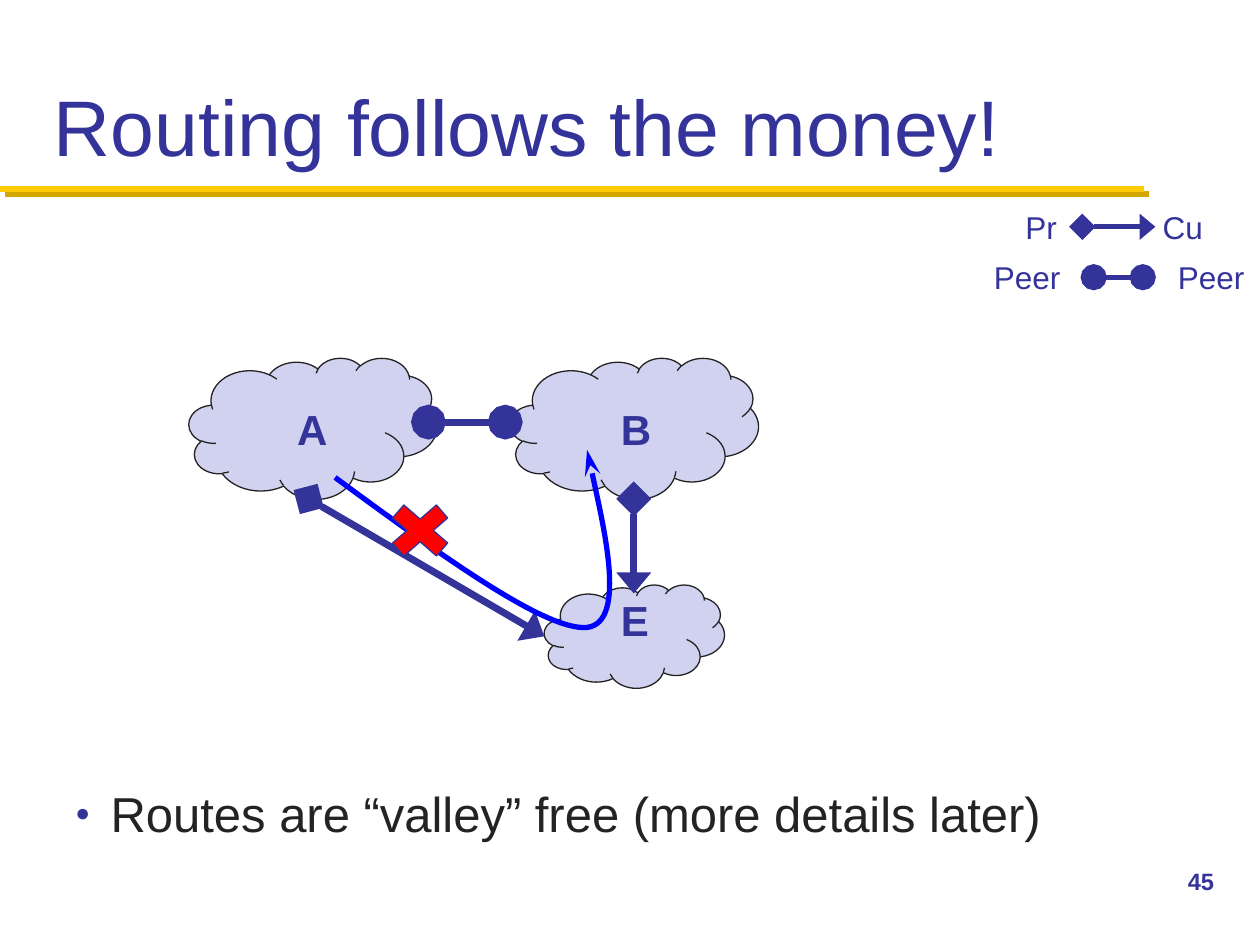
from dataclasses import dataclass, field
from typing import Any

from lxml.etree import SubElement
from pptx import Presentation
from pptx.dml.color import RGBColor
from pptx.enum.shapes import MSO_CONNECTOR as Connector, MSO_SHAPE as Preset
from pptx.enum.text import MSO_ANCHOR as Anchor, MSO_AUTO_SIZE as AutoSize
from pptx.oxml.ns import qn
from pptx.util import Inches, Pt

COLORS = {
    "navy": "333399",
    "cloud": "D1D1F0",
    "ink": "232323",
    "gold": "FFCB05",
    "gold_shadow": "D3A600",
    "route": "0000FF",
    "cross": "FF0000",
}
DIAMOND = ("diamond", "lg", "lg")
TRIANGLE = ("triangle", "lg", "med")
OVAL = ("oval", "lg", "lg")
STEALTH = ("stealth", "med", "lg")


def rgb(name):
    return RGBColor.from_string(COLORS[name])


def write_text(paragraph, text, size=18, color="navy", bold=False, font="Arial"):
    run = paragraph.add_run()
    run.text = text
    run.font.name = font
    run.font.size = Pt(size)
    run.font.bold = bold
    run.font.color.rgb = rgb(color)


@dataclass
class Drawing:
    slide: Any
    style: dict = field(default_factory=lambda: {"outline": 0.75, "link": 4})

    def text(self, text, left, top, width, height, wrap=True, anchor=Anchor.TOP, **form):
        box = self.slide.shapes.add_textbox(*map(Inches, (left, top, width, height)))
        frame = box.text_frame
        frame.word_wrap = wrap
        frame.auto_size = AutoSize.NONE if wrap else AutoSize.SHAPE_TO_FIT_TEXT
        frame.vertical_anchor = anchor
        write_text(frame.paragraphs[0], text, **form)
        return frame.paragraphs[0]

    def bullet(self, text, left, top, width, height, **form):
        paragraph = self.text(text, left, top, width, height, **form)
        paragraph.space_before = Pt(5.6)
        properties = paragraph._p.get_or_add_pPr()
        properties.set("marL", str(Inches(0.28)))
        properties.set("indent", str(-Inches(0.28)))
        color = SubElement(properties, qn("a:buClr"))
        SubElement(color, qn("a:srgbClr"), val=COLORS["navy"])
        SubElement(properties, qn("a:buSzPct"), val="50000")
        SubElement(properties, qn("a:buFont"), typeface="Arial")
        SubElement(properties, qn("a:buChar"), char="●")

    def shape(self, preset, left, top, width, height, fill, line):
        shape = self.slide.shapes.add_shape(preset, *map(Inches, (left, top, width, height)))
        shape.shadow.inherit = False
        shape.fill.solid()
        shape.fill.fore_color.rgb = rgb(fill)
        self.stroke(shape, line, self.style["outline"])

    def stroke(self, shape, color, weight, head=None, tail=None):
        shape.line.color.rgb = rgb(color)
        shape.line.width = Pt(weight)
        outline = shape.line._get_or_add_ln()
        for tag, end in (("a:headEnd", head), ("a:tailEnd", tail)):
            if end:
                kind, width, length = end
                SubElement(outline, qn(tag), type=kind, w=width, len=length)

    def link(self, start, end, color="navy", weight=None, head=None, tail=None, shadow=None):
        connector = self.slide.shapes.add_connector(
            Connector.STRAIGHT, *map(Inches, (*start, *end)))
        self.stroke(connector, color, weight or self.style["link"], head, tail)
        effects = SubElement(connector._element.spPr, qn("a:effectLst"))
        if shadow:
            outer = SubElement(effects, qn("a:outerShdw"), blurRad="0", dist=str(Pt(4.2)),
                               dir="2700000", algn="ctr", rotWithShape="0")
            SubElement(outer, qn("a:srgbClr"), val=COLORS[shadow])

    def curve(self, start, controls, color, weight, tail):
        builder = self.slide.shapes.build_freeform(*map(Inches, start), scale=1.0)
        builder.add_line_segments([tuple(map(Inches, point)) for point in controls], close=False)
        shape = builder.convert_to_shape()
        shape.shadow.inherit = False
        shape.fill.background()
        outline = shape._element.spPr.find(".//" + qn("a:path"))
        segments = outline.findall(qn("a:lnTo"))
        for index, segment in enumerate(segments):
            if index % 3 == 0:
                bezier = SubElement(outline, qn("a:cubicBezTo"))
            bezier.append(segment[0])
            outline.remove(segment)
        self.stroke(shape, color, weight, tail=tail)


def main():
    presentation = Presentation()
    presentation.slide_width, presentation.slide_height = Inches(10), Inches(7.5)
    drawing = Drawing(presentation.slides.add_slide(presentation.slide_layouts[6]))

    drawing.link((0, 1.5), (9.08, 1.5), "gold", 3.5, shadow="gold_shadow")
    drawing.text("Routing follows the money!", 0.33, 0.17, 9.33, 1.25,
                 anchor=Anchor.BOTTOM, size=45)
    drawing.text("45", 9.33, 6.83, 0.67, 0.5, size=13.5, bold=True)

    for bounds in ((4.32, 4.64, 1.43, 0.82), (4.05, 2.84, 1.97, 1.12), (1.5, 2.84, 1.97, 1.12)):
        drawing.shape(Preset.CLOUD, *bounds, fill="cloud", line="ink")

    drawing.link((3.4, 3.35), (4.01, 3.35), head=OVAL, tail=OVAL)
    for customer_link in (((2.45, 3.96), (4.32, 5.05)), ((5.03, 3.96), (5.03, 4.71))):
        drawing.link(*customer_link, head=DIAMOND, tail=TRIANGLE)

    for name, left, top in (("A", 2.26, 3.15), ("B", 4.83, 3.15), ("E", 4.83, 4.67)):
        drawing.text(name, left, top, 0.37, 0.37, wrap=False, size=24, bold=True)

    drawing.link((8.59, 1.8), (9.17, 1.8), weight=3, head=DIAMOND, tail=TRIANGLE)
    drawing.link((8.68, 2.2), (9.07, 2.2), weight=3, head=OVAL, tail=OVAL)
    for label, left, top, width in (("Pr", 8.04, 1.6, 0.47), ("Cu", 9.13, 1.6, 0.54),
                                    ("Peer", 7.79, 2, 0.75), ("Peer", 9.25, 2, 0.75)):
        drawing.text(label, left, top, width, 0.4, wrap=False)

    drawing.bullet("Routes are “valley” free (more details later)", 0.5, 6.17, 9, 1.17,
                   size=28, color="ink")
    drawing.curve((2.66, 3.79), ((3.49, 4.4), (4.33, 5.01), (4.66, 4.98),
                                 (4.99, 4.94), (4.66, 3.57), (4.66, 3.57)),
                  "route", 3, STEALTH)
    drawing.shape(Preset.MATH_MULTIPLY, 3, 3.92, 0.67, 0.58, fill="cross", line="navy")

    presentation.save("out.pptx")


if __name__ == "__main__":
    main()
